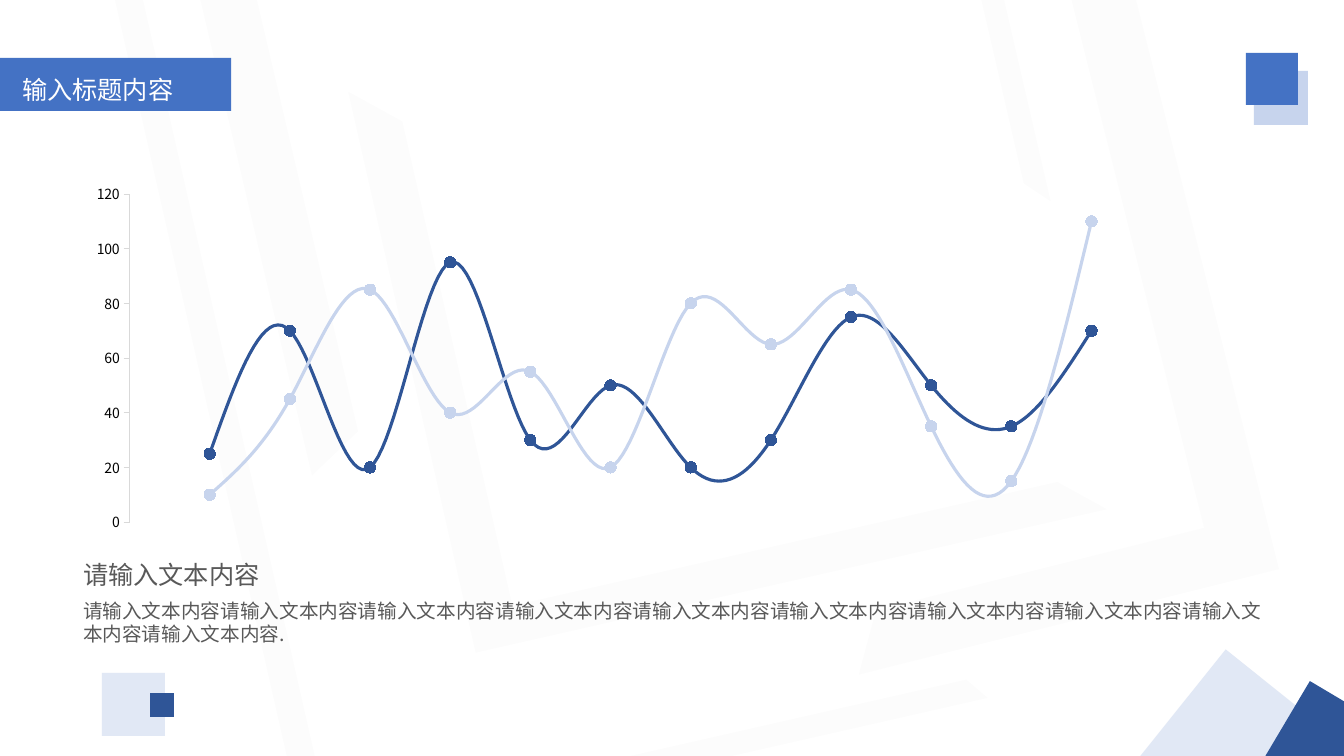
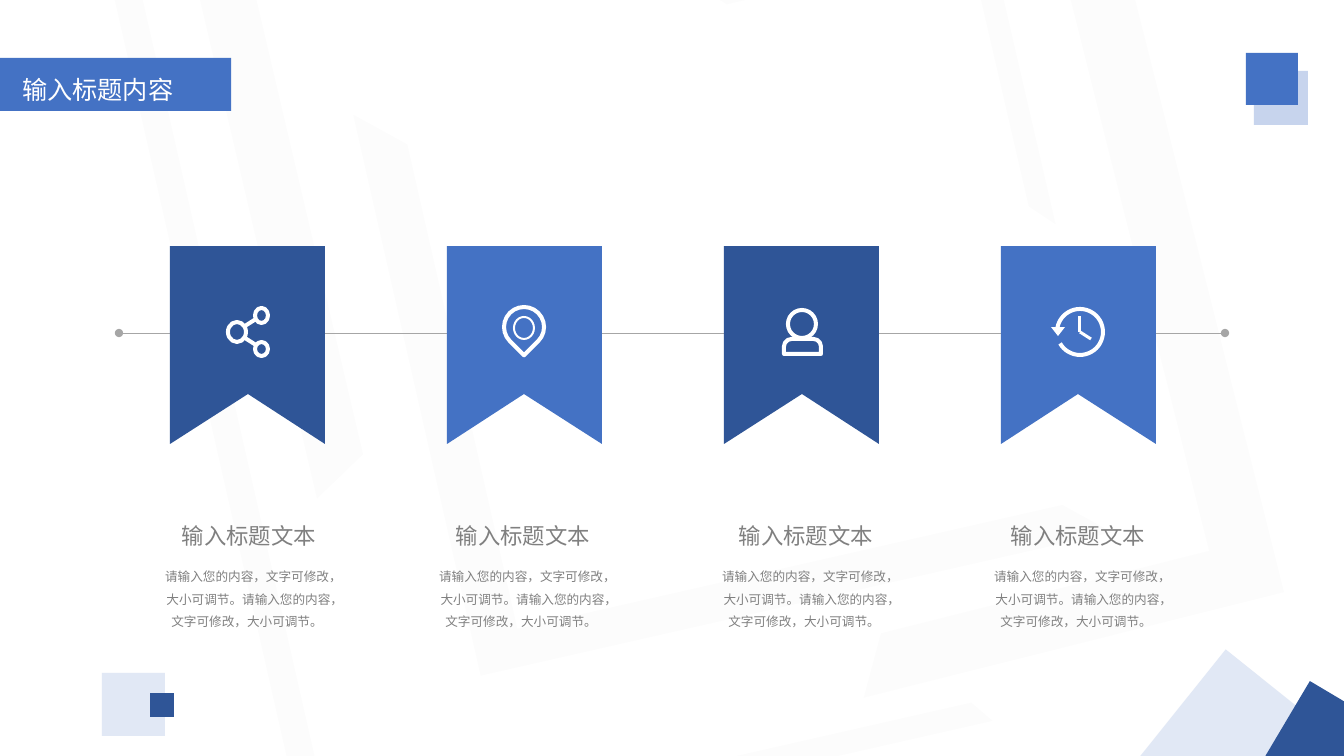
"""Build a two-slide deck with a scatter chart and a four-step ribbon row."""

from dataclasses import dataclass

import lxml.etree
import pptx
import pptx.chart.data
import pptx.dml.color
import pptx.enum.chart
import pptx.enum.shapes
import pptx.enum.text
import pptx.oxml
import pptx.oxml.ns
import pptx.util

RGBColor = pptx.dml.color.RGBColor
Kind = pptx.enum.shapes.MSO_SHAPE
Align = pptx.enum.text.PP_ALIGN
qn = pptx.oxml.ns.qn

SLIDE_W, SLIDE_H = 1344, 756
SCALE = 12192000 / SLIDE_W
FONT = "Noto Sans CJK SC"

WHITE = RGBColor(0xFF, 0xFF, 0xFF)
BLACK = RGBColor(0x00, 0x00, 0x00)
NAVY = RGBColor(0x2F, 0x55, 0x97)
BLUE = RGBColor(0x44, 0x72, 0xC4)
PALE = RGBColor(0xC7, 0xD4, 0xED)
SILVER = RGBColor(0xA6, 0xA6, 0xA6)
AXIS = RGBColor(0xD9, 0xD9, 0xD9)
INK = RGBColor(0x59, 0x59, 0x59)
GRAY = RGBColor(0x80, 0x80, 0x80)


@dataclass(frozen=True)
class Mark:
    """A preset shape; a stroke above zero draws an outline only."""

    kind: Kind
    x: int
    y: int
    w: int
    h: int
    color: RGBColor = WHITE
    alpha: int = 100
    turn: float = 0
    flip: bool = False
    adjust: tuple[float, ...] = ()
    stroke: int = 0


@dataclass(frozen=True)
class Link:
    """A straight line between two points."""

    x1: int
    y1: int
    x2: int
    y2: int
    color: RGBColor = WHITE
    width: int = 4
    dots: bool = False


@dataclass(frozen=True)
class Step:
    """A ribbon with its icon and the left edge of its caption."""

    color: RGBColor
    caption_left: int
    icon: tuple[Mark | Link, ...]


def frame_mark(x: int, y: int, w: int, h: int, turn: float, adjust: tuple[float, ...],
               flip: bool = False) -> Mark:
    """Describe one faint background half frame."""
    return Mark(Kind.HALF_FRAME, x, y, w, h, SILVER, 3, turn, flip, adjust)


BACKDROP = (
    frame_mark(440, -23, 575, 647, 257.2, (0.08, 0.065)),
    frame_mark(77, -29, 935, 696, 257.2, (0.039, 0.032)),
    frame_mark(726, -57, 303, 285, 77, (0.077, 0.052)),
    frame_mark(235, -191, 953, 565, 346.8, (0.091, 0.097)),
    frame_mark(584, 27, 780, 433, 75.9, (0.144, 0.134), True),
)
TITLE_BAND = Mark(Kind.PENTAGON, 0, 58, 231, 53, BLUE, adjust=(0,))
CORNERS = (
    Mark(Kind.RECTANGLE, 1254, 71, 54, 54, PALE),
    Mark(Kind.RECTANGLE, 1162, 680, 151, 151, PALE, 53, 308.7),
    Mark(Kind.RECTANGLE, 102, 673, 63, 63, PALE, 53),
    Mark(Kind.RECTANGLE, 150, 693, 24, 24, NAVY),
    Mark(Kind.RECTANGLE, 1246, 53, 52, 52, BLUE),
    Mark(Kind.RECTANGLE, 1280, 698, 92, 92, NAVY, turn=300.7),
)

SHARE = (
    Mark(Kind.OVAL, -20, -10, 18, 20, stroke=4),
    Mark(Kind.OVAL, 7, -24, 13, 15, stroke=4),
    Mark(Kind.OVAL, 7, 10, 13, 14, stroke=4),
    Link(-3, -6, 8, -13),
    Link(-3, 6, 8, 13),
)
PIN = (
    Mark(Kind.TEAR, -20, -25, 40, 40, turn=135, stroke=4),
    Mark(Kind.OVAL, -10, -15, 20, 22, stroke=2),
)
PERSON = (
    Mark(Kind.OVAL, -14, -22, 28, 28, stroke=4),
    Mark(Kind.ROUND_2_SAME_RECTANGLE, -18, 7, 37, 15, adjust=(0.5, 0), stroke=4),
)
CLOCK = (
    Mark(Kind.ARC, -21, -23, 46, 46, adjust=(114, 90), stroke=4),
    Mark(Kind.FLOWCHART_MERGE, -27, -5, 14, 9),
    Link(2, -16, 2, 0, width=3),
    Link(2, 0, 13, 7, width=3),
)
STEPS = (
    Step(NAVY, 164, SHARE),
    Step(BLUE, 438, PIN),
    Step(NAVY, 721, PERSON),
    Step(BLUE, 993, CLOCK),
)
RIBBON_LEFT, RIBBON_PITCH, RIBBON_W = 170, 277, 155
RIBBON_TOP, RIBBON_NOTCH, RIBBON_BOTTOM = 246, 394, 444
ICON_Y = 332

SERIES = (
    ("Series 1", PALE, (10, 45, 85, 40, 55, 20, 80, 65, 85, 35, 15, 110)),
    ("Series 2", NAVY, (25, 70, 20, 95, 30, 50, 20, 30, 75, 50, 35, 70)),
)
PLOT_AREA = {"x": 0.047, "y": 0.047, "w": 0.933, "h": 0.904}


def px(length: float) -> int:
    """Turn pixels into EMU."""
    return round(length * SCALE)


def box(x: int, y: int, w: int, h: int) -> tuple[int, ...]:
    """Turn a pixel box into EMU."""
    return tuple(map(px, (x, y, w, h)))


def draw_mark(slide, mark: Mark, dx: int = 0, dy: int = 0) -> None:
    """Draw a preset shape, shifted by an offset."""
    shape = slide.shapes.add_shape(mark.kind, *box(mark.x + dx, mark.y + dy, mark.w, mark.h))
    shape.shadow.inherit = False
    shape.rotation = mark.turn
    for index, value in enumerate(mark.adjust):
        shape.adjustments[index] = value
    properties = shape._element.spPr
    if mark.flip:
        properties.xfrm.set("flipH", "1")
    if mark.stroke:
        shape.fill.background()
        shape.line.color.rgb = mark.color
        shape.line.width = px(mark.stroke)
        return
    shape.line.fill.background()
    shape.fill.solid()
    shape.fill.fore_color.rgb = mark.color
    if mark.alpha < 100:
        color = properties.find(".//" + qn("a:srgbClr"))
        lxml.etree.SubElement(color, qn("a:alpha"), val=str(mark.alpha * 1000))


def draw_link(slide, link: Link, dx: int = 0, dy: int = 0) -> None:
    """Draw a line, with round ends on request."""
    line = slide.shapes.add_connector(
        pptx.enum.shapes.MSO_CONNECTOR.STRAIGHT,
        *box(link.x1 + dx, link.y1 + dy, link.x2 + dx, link.y2 + dy))
    line.line.color.rgb = link.color
    line.line.width = px(link.width)
    if link.dots:
        for end in ("a:headEnd", "a:tailEnd"):
            lxml.etree.SubElement(line.line._get_or_add_ln(), qn(end), type="oval")
    lxml.etree.SubElement(line._element.spPr, qn("a:effectLst"))


def write(frame, text: str, *, size: int, color: RGBColor, leading: int,
          align: Align = Align.LEFT, before: float = 0) -> None:
    """Add one formatted paragraph to a text frame."""
    paragraph = frame.add_paragraph() if frame.text else frame.paragraphs[0]
    layout = paragraph._p.get_or_add_pPr()
    layout.set("marL", "0")
    layout.set("indent", "0")
    lxml.etree.SubElement(layout, qn("a:buNone"))
    paragraph.alignment = align
    paragraph.line_spacing = pptx.util.Pt(leading)
    paragraph.space_before = pptx.util.Pt(before)
    run = paragraph.add_run()
    run.text = text
    run.font.size = pptx.util.Pt(size)
    run.font.color.rgb = color
    run.font.name = FONT
    lxml.etree.SubElement(run._r.get_or_add_rPr(), qn("a:ea"), typeface=FONT)


def place(shape, x: int, y: int, w: int, h: int):
    """Move a text shape to the front at a box and return its frame."""
    shape.left, shape.top, shape.width, shape.height = box(x, y, w, h)
    shape._element.getparent().append(shape._element)
    frame = shape.text_frame
    frame.word_wrap = True
    frame.auto_size = pptx.enum.text.MSO_AUTO_SIZE.NONE
    frame.vertical_anchor = pptx.enum.text.MSO_ANCHOR.TOP
    return frame


def start_slide(deck, layout: int, dx: int = 0, dy: int = 0):
    """Add a slide with the shared backdrop, title band and corners."""
    slide = deck.slides.add_slide(deck.slide_layouts[layout])
    for mark in BACKDROP:
        draw_mark(slide, mark, dx, dy)
    draw_mark(slide, TITLE_BAND)
    title = place(slide.shapes.title, 12, 69, 219, 43)
    write(title, "输入标题内容", size=18, color=WHITE, leading=22, align=Align.JUSTIFY)
    for mark in CORNERS:
        draw_mark(slide, mark)
    return slide


def draw_chart(slide) -> None:
    """Draw the smooth scatter chart."""
    data = pptx.chart.data.XyChartData()
    for name, _, values in SERIES:
        points = data.add_series(name)
        for x, y in enumerate(values, 1):
            points.add_data_point(x, y)
    styles = pptx.enum.chart
    chart = slide.shapes.add_chart(
        styles.XL_CHART_TYPE.XY_SCATTER_SMOOTH, *box(73, 177, 1203, 363), data).chart
    chart.has_legend = chart.has_title = False
    chart.font.size = pptx.util.Pt(10)
    chart.font.name = FONT
    chart.font.color.rgb = BLACK
    chart.plots[0].vary_by_categories = False
    for axis, top, unit in ((chart.category_axis, 14, 2), (chart.value_axis, 120, 20)):
        axis.minimum_scale, axis.maximum_scale, axis.major_unit = 0, top, unit
        axis.has_major_gridlines = axis.has_minor_gridlines = False
    chart.category_axis.visible = False
    scores = chart.value_axis
    scores.major_tick_mark = styles.XL_TICK_MARK.OUTSIDE
    scores.format.line.color.rgb = AXIS
    scores.format.line.width = pptx.util.Pt(0.5)
    for series, (_, color, _) in zip(chart.plots[0].series, SERIES):
        series._element.get_or_add_smooth().val = True
        series.format.line.color.rgb = color
        series.format.line.width = pptx.util.Pt(2.25)
        series.marker.style = styles.XL_MARKER_STYLE.CIRCLE
        series.marker.size = 8
        series.marker.format.fill.solid()
        series.marker.format.fill.fore_color.rgb = color
        series.marker.format.line.color.rgb = color
    area = chart._chartSpace.find(".//" + qn("c:plotArea"))
    for old in area.findall(qn("c:layout")):
        area.remove(old)
    layout = lxml.etree.Element(qn("c:layout"))
    area.insert(0, layout)
    manual = lxml.etree.SubElement(layout, qn("c:manualLayout"))
    lxml.etree.SubElement(manual, qn("c:layoutTarget"), val="inner")
    for edge in "xy":
        lxml.etree.SubElement(manual, qn(f"c:{edge}Mode"), val="edge")
    for side, share in PLOT_AREA.items():
        lxml.etree.SubElement(manual, qn(f"c:{side}"), val=str(share))


def draw_step(slide, step: Step, left: int) -> None:
    """Draw one ribbon with its icon and caption."""
    middle, right = left + RIBBON_W / 2, left + RIBBON_W
    outline = slide.shapes.build_freeform(left, RIBBON_TOP, scale=SCALE)
    outline.add_line_segments([(right, RIBBON_TOP), (right, RIBBON_BOTTOM),
                               (middle, RIBBON_NOTCH), (left, RIBBON_BOTTOM)])
    ribbon = outline.convert_to_shape()
    ribbon.shadow.inherit = False
    ribbon.fill.solid()
    ribbon.fill.fore_color.rgb = step.color
    ribbon.line.fill.background()
    for part in step.icon:
        draw = draw_mark if isinstance(part, Mark) else draw_link
        draw(slide, part, round(middle), ICON_Y)
    captions = (
        ("输入标题文本", 0, 521, 27, 16, 20),
        ("请输入您的内容，文字可修改， 大小可调节。请输入您的内容，文字可修改，大小可调节。",
         -2, 562, 66, 9, 16),
    )
    for text, shift, top, height, size, leading in captions:
        area = (step.caption_left + shift, top, 170, height)
        frame = place(slide.shapes.add_textbox(*box(*area)), *area)
        frame.margin_left = frame.margin_right = frame.margin_top = frame.margin_bottom = 0
        write(frame, text, size=size, color=GRAY, leading=leading, align=Align.CENTER)


def main() -> None:
    """Build and save the deck."""
    deck = pptx.Presentation()
    deck.slide_width, deck.slide_height = px(SLIDE_W), px(SLIDE_H)

    trend = start_slide(deck, 1)
    draw_chart(trend)
    summary = place(trend.placeholders[1], 73, 554, 1203, 97)
    write(summary, "请输入文本内容", size=18, color=INK, leading=22)
    write(summary, "请输入文本内容" * 10 + ".", size=14, color=INK, leading=17, before=6)

    process = start_slide(deck, 5, 5, 23)
    draw_link(process, Link(119, 333, 1225, 333, SILVER, 1, True))
    for index, step in enumerate(STEPS):
        draw_step(process, step, RIBBON_LEFT + index * RIBBON_PITCH)

    deck.save("out.pptx")


if __name__ == "__main__":
    main()
